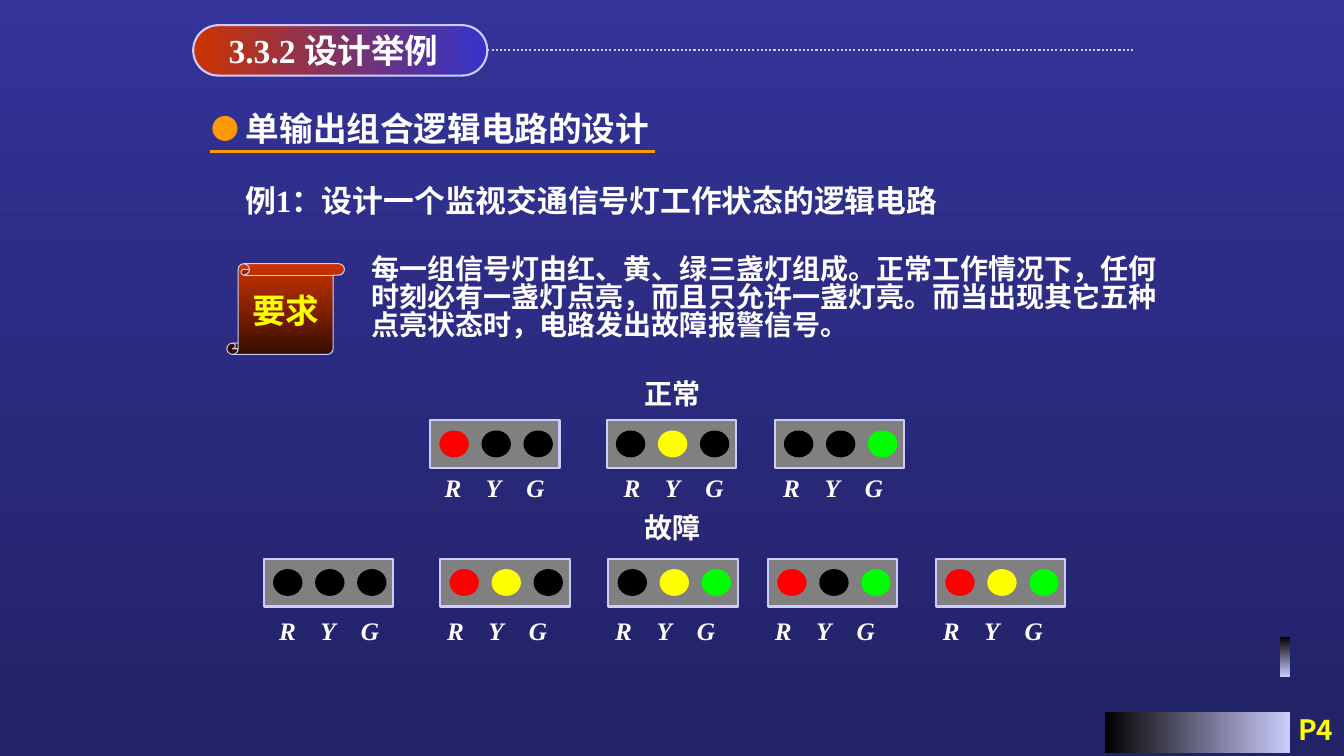
from lxml import etree
from pptx import Presentation
from pptx import util as u
from pptx.dml.color import RGBColor
from pptx.enum import dml, shapes, text
from pptx.oxml import ns

COLORS = {"white": "FFFFFF", "yellow": "FFFF00", "orange": "FF9900", "lilac": "CCCCFF",
          "red": "CC3300", "maroon": "360D00", "blue": "3333CC", "black": "000000",
          "gray": "808080", "sky": "333399", "night": "222266"}
LAMPS = {"R": "FF0000", "Y": "FFFF00", "G": "00FF00"}
LATIN, CJK = "Times New Roman", "Noto Sans CJK SC"
CELL = u.Inches(1) / 12  # one grid cell is a twelfth of an inch
GO = shapes.MSO_SHAPE

prs = Presentation()
prs.slide_width, prs.slide_height = u.Inches(13.33), u.Inches(7.5)
s = prs.slides.add_slide(prs.slide_layouts[5])


def add_part(kind, col, row, cols, rows, fill, line=None, angle=0):
    """Add a preset shape on the grid; a pair of fills makes a gradient."""
    sp = s.shapes.add_shape(kind, *(round(n * CELL) for n in (col, row, cols, rows)))
    sp.shadow.inherit = False
    if isinstance(fill, tuple):
        sp.fill.gradient()
        sp.fill.gradient_angle = angle
        for stop, name in zip(sp.fill.gradient_stops, fill):
            stop.color.rgb = RGBColor.from_string(COLORS[name])
    else:
        sp.fill.solid()
        sp.fill.fore_color.rgb = RGBColor.from_string(fill)
    if line:
        sp.line.color.rgb = RGBColor.from_string(COLORS["lilac"])
        sp.line.width = u.Pt(line)
    else:
        sp.line.fill.background()
    return sp


def write(sp, words, size, color="white", inset=0.0, align=text.PP_ALIGN.LEFT,
          latin=LATIN, italic=False):
    """Fill a text holder with one bold paragraph and return the paragraph."""
    tf = sp.text_frame
    tf.word_wrap, tf.auto_size = True, text.MSO_AUTO_SIZE.NONE
    tf.vertical_anchor = text.MSO_ANCHOR.MIDDLE
    tf.margin_left = tf.margin_right = u.Inches(inset)
    tf.margin_top = tf.margin_bottom = 0
    p = tf.paragraphs[0]
    p.alignment = align
    r = p.add_run()
    r.text = words
    r.font.size, r.font.bold, r.font.italic = u.Pt(size), True, italic
    r.font.name = latin
    r.font.color.rgb = RGBColor.from_string(COLORS[color])
    etree.SubElement(r.font._element, ns.qn("a:ea"), typeface=CJK)
    return p


# Background
bg = s.background.fill
bg.gradient()
bg.gradient_angle = 270
for stop, name in zip(bg.gradient_stops, ("sky", "night")):
    stop.color.rgb = RGBColor.from_string(COLORS[name])

# Title on its pill
pill = add_part(GO.ROUNDED_RECTANGLE, 23, 3, 35, 6, ("red", "blue"), 1.5)
pill.adjustments[0] = 0.5
title = s.shapes.title
title.left, title.top, title.width, title.height = (round(n * CELL) for n in (26, 3, 31, 6))
s.shapes._spTree.append(title._element)
write(title, "3.3.2 设计举例", 24, inset=0.1, align=text.PP_ALIGN.JUSTIFY)

# Dotted title rule and heading underline
for col, row, end, color, width, dash in (
        (58, 6, 135, "lilac", 1.5, dml.MSO_LINE.ROUND_DOT),
        (25, 18, 78, "orange", 2.25, None)):
    rule = s.shapes.add_connector(shapes.MSO_CONNECTOR.STRAIGHT,
                                  *(round(n * CELL) for n in (col, row, end, row)))
    rule.line.color.rgb = RGBColor.from_string(COLORS[color])
    rule.line.width = u.Pt(width)
    rule.line.dash_style = dash
    etree.SubElement(rule._element.spPr, ns.qn("a:effectLst"))

# Corner bars and scroll
add_part(GO.RECTANGLE, 131.5, 84.8, 22, 4.8, ("black", "lilac"))
add_part(GO.RECTANGLE, 152.4, 75.8, 1.2, 4.8, ("black", "lilac"), angle=270)
add_part(GO.VERTICAL_SCROLL, 27, 31.4, 14, 10.8, ("red", "maroon"), 0.75, 270)

# Single texts: words, grid place, size, colour, inset, alignment, latin font
LEFT, MID, RIGHT = text.PP_ALIGN.LEFT, text.PP_ALIGN.CENTER, text.PP_ALIGN.RIGHT
paragraphs = {}
for words, place, size, color, inset, align, latin in (
        ("单输出组合逻辑电路的设计", (24, 12.2, 58, 6), 24, "white", 0.1, LEFT, LATIN),
        ("例1：设计一个监视交通信号灯工作状态的逻辑电路",
         (28, 21, 91, 5.6), 22, "white", 0.1, LEFT, LATIN),
        ("每一组信号灯由红、黄、绿三盏灯组成。正常工作情况下，任何时刻必有一盏灯点亮，"
         "而且只允许一盏灯亮。而当出现其它五种点亮状态时，电路发出故障报警信号。",
         (44.2, 29.6, 96.4, 12.1), 20, "white", 0, LEFT, LATIN),
        ("要求", (30, 34.5, 11, 4.8), 24, "yellow", 0, LEFT, LATIN),
        ("正常", (67.5, 44.8, 25, 4), 20, "white", 0, MID, LATIN),
        ("故障", (67.5, 60.8, 25, 4), 20, "white", 0, MID, LATIN),
        ("P4", (126.7, 84.8, 33.2, 4), 20, "yellow", 0.1, RIGHT, CJK)):
    box = s.shapes.add_textbox(*(round(n * CELL) for n in place))
    paragraphs[words[:2]] = write(box, words, size, color, inset, align, latin)
paragraphs["每一"].line_spacing = 0.83

# Round bullet of the heading
pPr = paragraphs["单输"]._p.get_or_add_pPr()
pPr.set("marL", str(u.Inches(0.34)))
pPr.set("indent", str(-u.Inches(0.34)))
bullet_color = etree.SubElement(pPr, ns.qn("a:buClr"))
etree.SubElement(bullet_color, ns.qn("a:srgbClr"), val=COLORS["orange"])
etree.SubElement(pPr, ns.qn("a:buSzPct"), val="83000")
etree.SubElement(pPr, ns.qn("a:buFont"), typeface=CJK)
etree.SubElement(pPr, ns.qn("a:buChar"), char="●")

# Traffic lights: panel row, label row, then (panel column, label column, lit lamps)
for row, label_row, lights in (
        (50, 56.2, ((51.2, 49.2, "R"), (72.2, 70.5, "Y"), (92.2, 89.5, "G"))),
        (66.5, 73.2, ((31.4, 29.5, ""), (52.4, 49.5, "RY"), (72.4, 69.5, "YG"),
                      (91.4, 88.5, "RG"), (111.4, 108.5, "RYG")))):
    for col, label_col, lit in lights:
        add_part(GO.RECTANGLE, col, row, 15.4, 5.7, COLORS["gray"], 1.5)
        for i, lamp in enumerate(LAMPS):
            add_part(GO.OVAL, col + 1.1 + 5 * i, row + 1.25, 3.5, 3.2,
                     LAMPS[lamp] if lamp in lit else COLORS["black"])
        label = s.shapes.add_textbox(*(round(n * CELL) for n in (label_col, label_row, 20, 3.6)))
        p = write(label, "\t".join(LAMPS), 18, inset=0.31, italic=True)
        tabs = etree.SubElement(p._p.get_or_add_pPr(), ns.qn("a:tabLst"))
        for stop in (0.41, 0.81):
            etree.SubElement(tabs, ns.qn("a:tab"), pos=str(u.Inches(stop)), algn="l")

prs.save("out.pptx")
